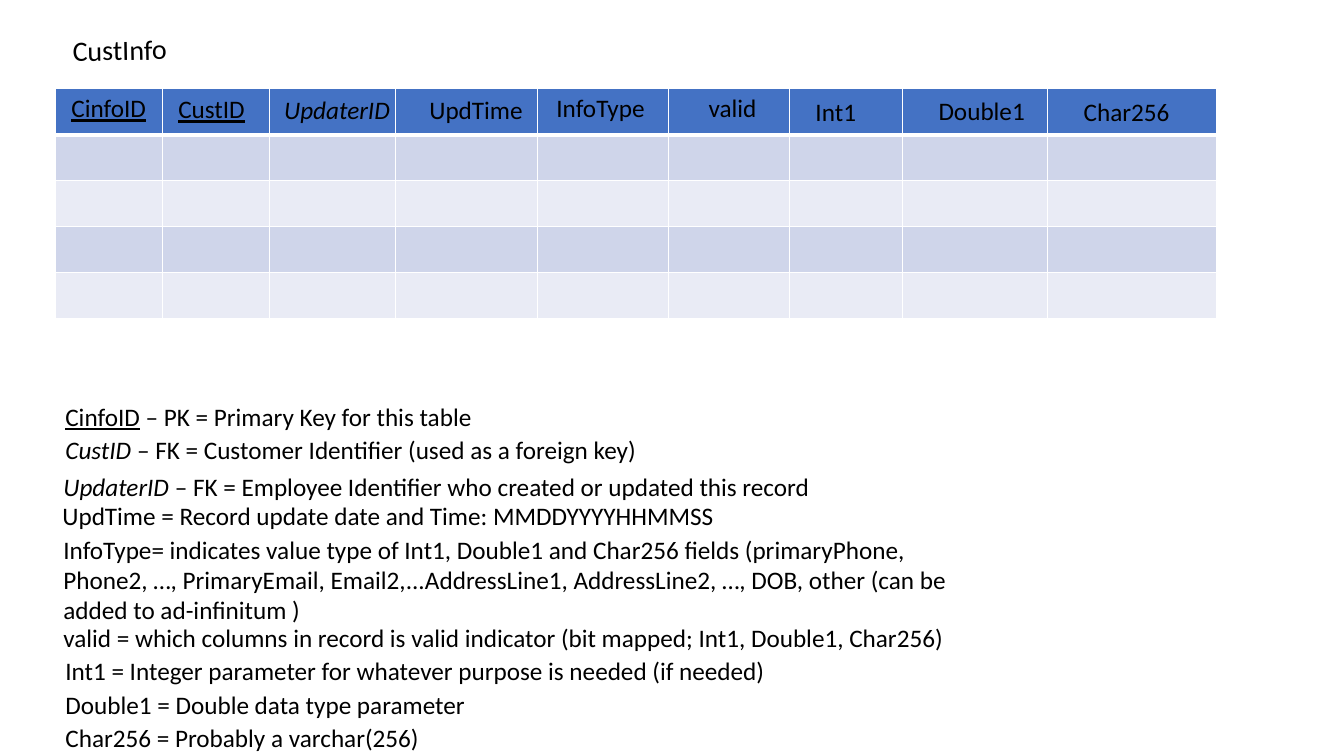
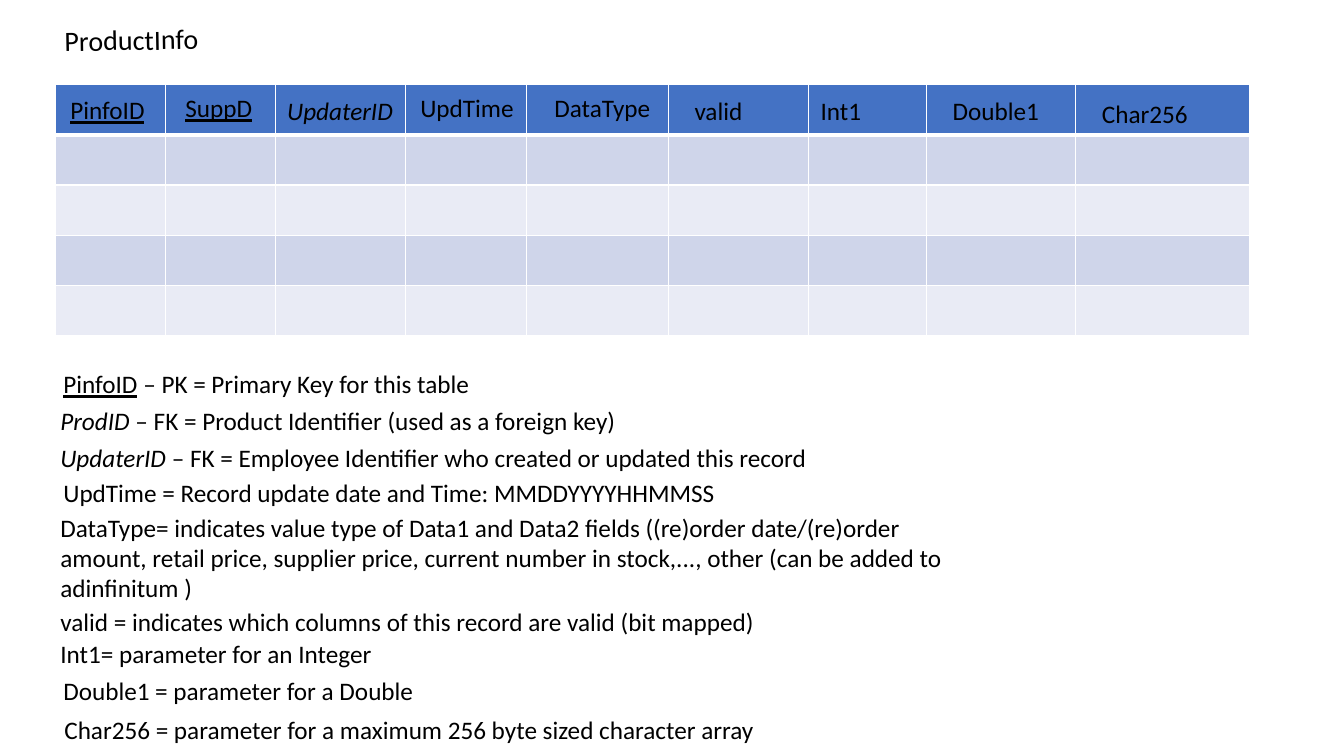
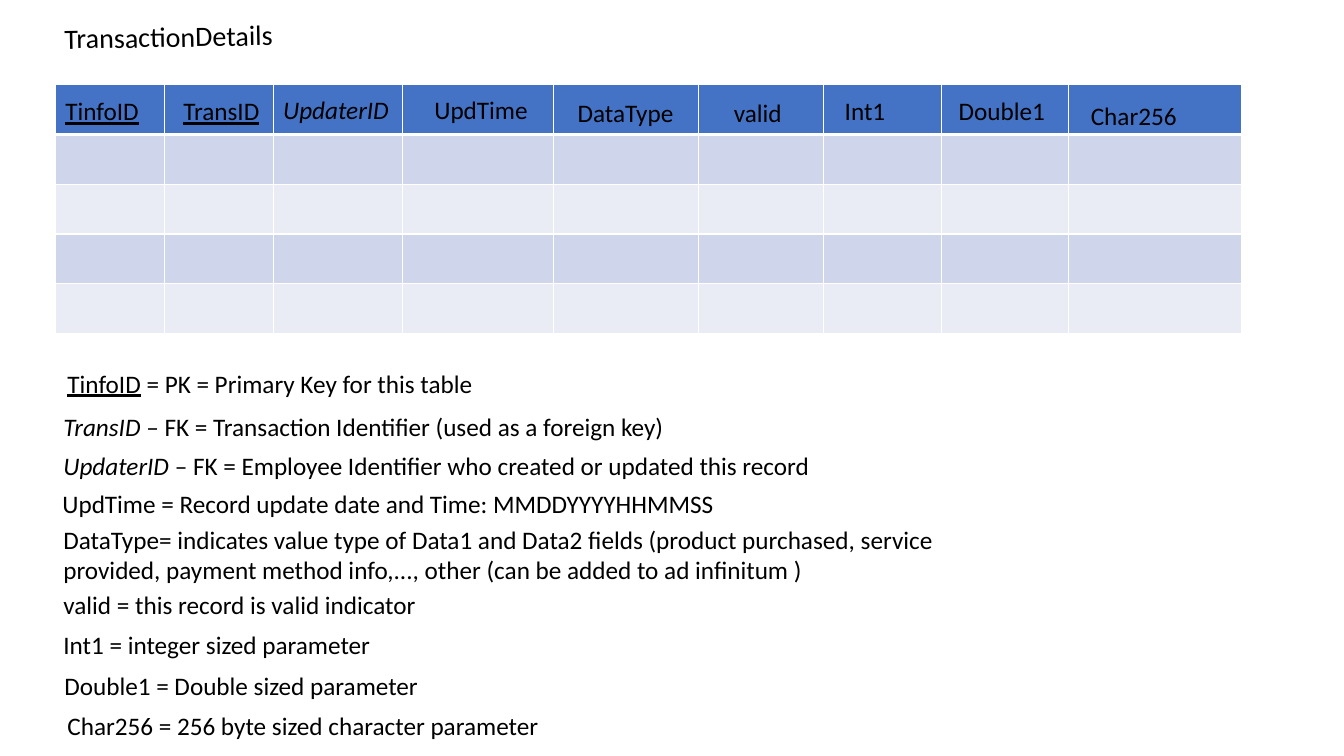
from lxml import etree
from pptx import Presentation
from pptx.dml.color import RGBColor
from pptx.enum.text import MSO_ANCHOR, MSO_AUTO_SIZE, PP_ALIGN
from pptx.oxml.ns import qn
from pptx.util import Inches, Pt

LEFT = PP_ALIGN.LEFT
TOP = MSO_ANCHOR.TOP
NO_FIT = MSO_AUTO_SIZE.NONE
FIT_SHAPE = MSO_AUTO_SIZE.SHAPE_TO_FIT_TEXT

FONT = "Calibri"
BLACK = "000000"
WHITE = "FFFFFF"
HEADER_FILL = "4472C4"
BAND_FILLS = ("CFD5EA", "E9EBF5")
ROWS = 5
TABLE_LEFT = 0.55
LINE_HEIGHT = 0.3
KEY, FOREIGN, PLAIN = "underline", "italic", ""

# title: text, left, top, width
# table: top, height
# columns: name, column width, label left, label top, label width, style
# notes: left, top, width, lines, style of the first word, text
SLIDES = [
    {
        "title": ("CustInfo", 0.62, 0.27, 1.4),
        "table": (0.88, 2.28),
        "columns": [
            ("CinfoID", 1.06, 0.61, 0.87, 0.97, KEY),
            ("CustID", 1.06, 1.67, 0.88, 0.97, KEY),
            ("UpdaterID", 1.25, 2.72, 0.89, 1.26, FOREIGN),
            ("UpdTime", 1.41, 4.16, 0.89, 1.38, PLAIN),
            ("InfoType", 1.3, 5.42, 0.87, 1.38, PLAIN),
            ("valid", 1.2, 6.93, 0.87, 0.94, PLAIN),
            ("Int1", 1.12, 7.99, 0.91, 1.06, PLAIN),
            ("Double1", 1.44, 9.21, 0.9, 1.19, PLAIN),
            ("Char256", 1.68, 10.65, 0.91, 1.35, PLAIN),
        ],
        "notes": [
            (0.55, 3.93, 9.27, 1, KEY, "CinfoID – PK = Primary Key for this table"),
            (0.55, 4.26, 8.05, 1, FOREIGN,
             "CustID – FK = Customer Identifier (used as a foreign key)"),
            (0.53, 4.63, 8.22, 1, FOREIGN,
             "UpdaterID – FK = Employee Identifier who created or updated this record"),
            (0.52, 4.91, 9.05, 1, PLAIN,
             "UpdTime = Record update date and Time: MMDDYYYYHHMMSS"),
            (0.53, 5.25, 9.05, 3, PLAIN,
             "InfoType= indicates value type of Int1, Double1 and Char256 fields "
             "(primaryPhone, Phone2, …, PrimaryEmail, Email2,...AddressLine1, "
             "AddressLine2, …, DOB, other (can be added to ad-infinitum )"),
            (0.53, 6.12, 9.41, 1, PLAIN,
             "valid = which columns in record is valid indicator "
             "(bit mapped; Int1, Double1, Char256)"),
            (0.55, 6.45, 8.76, 1, PLAIN,
             "Int1 = Integer parameter for whatever purpose is needed (if needed)"),
            (0.55, 6.79, 8.68, 1, PLAIN, "Double1 = Double data type parameter"),
            (0.55, 7.12, 9.05, 1, PLAIN, "Char256 = Probably a varchar(256)"),
        ],
    },
    {
        "title": ("ProductInfo", 0.54, 0.17, 1.87),
        "table": (0.84, 2.49),
        "columns": [
            ("PinfoID", 1.09, 0.6, 0.89, 0.94, KEY),
            ("SuppD", 1.09, 1.74, 0.87, 0.97, KEY),
            ("UpdaterID", 1.29, 2.75, 0.9, 1.26, FOREIGN),
            ("UpdTime", 1.2, 4.07, 0.87, 1.2, PLAIN),
            ("DataType", 1.41, 5.4, 0.87, 1.38, PLAIN),
            ("valid", 1.39, 6.79, 0.9, 0.94, PLAIN),
            ("Int1", 1.17, 8.04, 0.9, 1.07, PLAIN),
            ("Double1", 1.48, 9.35, 0.9, 1.2, PLAIN),
            ("Char256", 1.73, 10.83, 0.93, 1.42, PLAIN),
        ],
        "notes": [
            (0.53, 3.61, 9.05, 1, KEY, "PinfoID – PK = Primary Key for this table"),
            (0.5, 3.97, 8.05, 1, FOREIGN,
             "ProdID – FK = Product Identifier (used as a foreign key)"),
            (0.5, 4.34, 8.22, 1, FOREIGN,
             "UpdaterID – FK = Employee Identifier who created or updated this record"),
            (0.53, 4.69, 9.05, 1, PLAIN,
             "UpdTime = Record update date and Time: MMDDYYYYHHMMSS"),
            (0.5, 5.03, 9.05, 3, PLAIN,
             "DataType= indicates value type of Data1 and Data2 fields "
             "((re)order date/(re)order amount, retail price, supplier price, "
             "current number in stock,..., other (can be added to adinfinitum )"),
            (0.5, 5.97, 9.05, 1, PLAIN,
             "valid = indicates which columns of this record are valid (bit mapped)"),
            (0.5, 6.28, 9.41, 1, PLAIN, "Int1= parameter for an Integer"),
            (0.53, 6.65, 8.9, 1, PLAIN, "Double1 = parameter for a Double"),
            (0.54, 7.04, 8.93, 1, PLAIN,
             "Char256 = parameter for a maximum 256 byte sized character array"),
        ],
    },
    {
        "title": ("TransactionDetails", 0.54, 0.14, 2.47),
        "table": (0.84, 2.47),
        "columns": [
            ("TinfoID", 1.08, 0.55, 0.9, 1.06, KEY),
            ("TransID", 1.08, 1.72, 0.9, 0.97, KEY),
            ("UpdaterID", 1.28, 2.71, 0.89, 1.26, FOREIGN),
            ("UpdTime", 1.5, 4.21, 0.89, 1.2, PLAIN),
            ("DataType", 1.44, 5.63, 0.92, 1.38, PLAIN),
            ("valid", 1.24, 7.18, 0.92, 0.94, PLAIN),
            ("Int1", 1.17, 8.28, 0.9, 1.06, PLAIN),
            ("Double1", 1.26, 9.41, 0.9, 1.06, PLAIN),
            ("Char256", 1.72, 10.72, 0.95, 1.49, PLAIN),
        ],
        "notes": [
            (0.57, 3.6, 8.86, 1, KEY, "TinfoID = PK = Primary Key for this table"),
            (0.53, 4.03, 8.05, 1, FOREIGN,
             "TransID – FK = Transaction Identifier (used as a foreign key)"),
            (0.53, 4.42, 8.22, 1, FOREIGN,
             "UpdaterID – FK = Employee Identifier who created or updated this record"),
            (0.52, 4.8, 9.05, 1, PLAIN,
             "UpdTime = Record update date and Time: MMDDYYYYHHMMSS"),
            (0.53, 5.15, 9.05, 2, PLAIN,
             "DataType= indicates value type of Data1 and Data2 fields "
             "(product purchased, service provided, payment method info,..., "
             "other (can be added to ad infinitum )"),
            (0.53, 5.8, 9.05, 1, PLAIN, "valid = this record is valid indicator"),
            (0.53, 6.19, 9.41, 1, PLAIN, "Int1 = integer sized parameter"),
            (0.54, 6.6, 8.2, 1, PLAIN, "Double1 = Double sized parameter"),
            (0.57, 7, 8.6, 1, PLAIN, "Char256 = 256 byte sized character parameter"),
        ],
    },
]


def rgb(value):
    return RGBColor.from_string(value)


def format_run(r, size):
    r.font.name = FONT
    r.font.size = Pt(size)
    r.font.color.rgb = rgb(BLACK)


def add_title(slide, text, left, top, width):
    sp = slide.shapes.title
    sp.left, sp.top = Inches(left), Inches(top)
    sp.width, sp.height = Inches(width), Inches(0.44)
    sp.rotation = 359
    tf = sp.text_frame
    tf.text = text
    tf.word_wrap = True
    tf.auto_size = NO_FIT
    tf.vertical_anchor = TOP
    p = tf.paragraphs[0]
    p.alignment = LEFT
    format_run(p.runs[0], 20)


def add_text(slide, left, top, width, text, style=PLAIN, lines=1):
    """Add a text box; style marks its first word as a key."""
    height = 0.4 + LINE_HEIGHT * (lines - 1)
    sp = slide.shapes.add_textbox(
        Inches(left), Inches(top), Inches(width), Inches(height))
    tf = sp.text_frame
    tf.word_wrap = True
    tf.auto_size = FIT_SHAPE
    p = tf.paragraphs[0]
    if style:
        word, gap, rest = text.partition(" ")
        p.text = word
        setattr(p.runs[0].font, style, True)
        if rest:
            p.add_run().text = gap + rest
    else:
        p.text = text
    for r in p.runs:
        format_run(r, 18)


def set_borders(cell, top, bottom):
    """Draw white cell borders; top and bottom are widths in points."""
    tc_pr = cell._tc.get_or_add_tcPr()
    widths = (("a:lnL", 1), ("a:lnR", 1), ("a:lnT", top), ("a:lnB", bottom))
    for i, (tag, width) in enumerate(widths):
        ln = etree.Element(qn(tag), w=str(Pt(width)))
        fill = etree.SubElement(ln, qn("a:solidFill"))
        etree.SubElement(fill, qn("a:srgbClr"), val=WHITE)
        tc_pr.insert(i, ln)


def add_banded_table(slide, top, height, widths):
    frame = slide.shapes.add_table(
        ROWS, len(widths), Inches(TABLE_LEFT), Inches(top),
        Inches(sum(widths)), Inches(height))
    table = frame.table
    for column, width in zip(table.columns, widths):
        column.width = Inches(width)
    for i, row in enumerate(table.rows):
        row.height = Inches(height / ROWS)
        for cell in row.cells:
            cell.fill.solid()
            cell.fill.fore_color.rgb = rgb(BAND_FILLS[(i - 1) % 2] if i else HEADER_FILL)
            set_borders(cell, top=3 if i == 1 else 1, bottom=1 if i else 3)


def add_table_slide(prs, content):
    slide = prs.slides.add_slide(prs.slide_layouts.get_by_name("Title Only"))
    add_title(slide, *content["title"])
    columns = content["columns"]
    add_banded_table(slide, *content["table"], [column[1] for column in columns])
    for name, _, left, top, width, style in columns:
        add_text(slide, left, top, width, name, style)
    for left, top, width, lines, style, text in content["notes"]:
        add_text(slide, left, top, width, text, style, lines)


def main():
    prs = Presentation()
    prs.slide_width, prs.slide_height = Inches(13.33), Inches(7.5)
    for content in SLIDES:
        add_table_slide(prs, content)
    prs.save("out.pptx")


if __name__ == "__main__":
    main()
